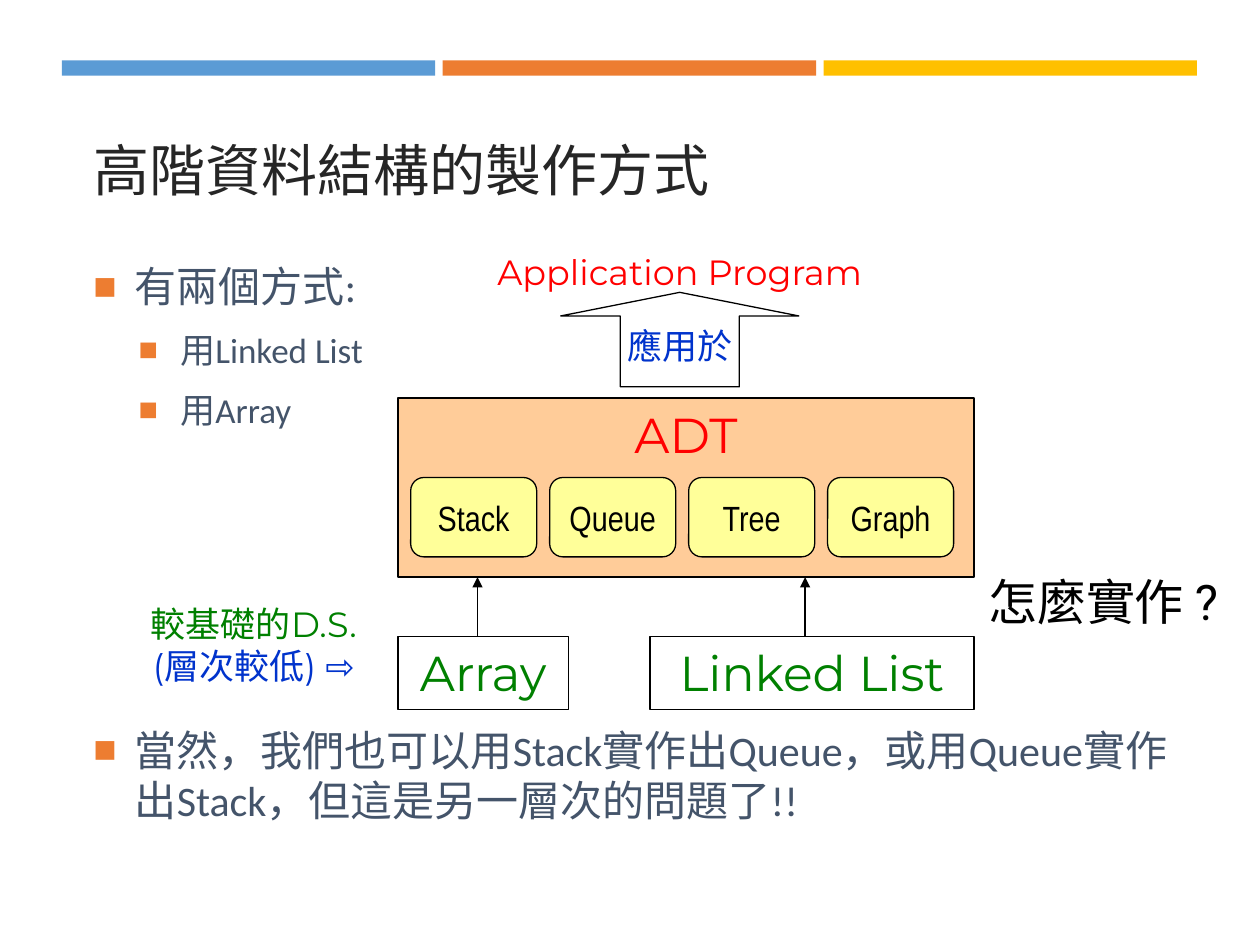
from lxml import etree
from pptx import Presentation
from pptx.dml.color import RGBColor
from pptx.enum.shapes import MSO_CONNECTOR, MSO_SHAPE
from pptx.enum.text import MSO_ANCHOR, MSO_AUTO_SIZE, PP_ALIGN
from pptx.oxml.ns import qn
from pptx.util import Inches, Pt

RECT, ROUND, UP_ARROW = MSO_SHAPE.RECTANGLE, MSO_SHAPE.ROUNDED_RECTANGLE, MSO_SHAPE.UP_ARROW
TOP, MIDDLE = MSO_ANCHOR.TOP, MSO_ANCHOR.MIDDLE
LEFT, CENTER = PP_ALIGN.LEFT, PP_ALIGN.CENTER
STRAIGHT = MSO_CONNECTOR.STRAIGHT
NO_FIT = MSO_AUTO_SIZE.NONE

BLACK, RED, GREEN, BLUE = "000000", "FF0000", "008000", "0033CC"
ORANGE, SLATE = "ED7D31", "44546A"


def color(value):
    return RGBColor.from_string(value)


def inches(*lengths):
    return [Inches(length) for length in lengths]


def place(shape, box):
    for name, length in zip(("left", "top", "width", "height"), inches(*box)):
        setattr(shape, name, length)


def add_child(parent, tag, **attributes):
    return etree.SubElement(parent, qn(tag), attributes)


def format_font(font, size, name, value):
    for attribute, setting in {"size": Pt(size), "name": name, "bold": False}.items():
        setattr(font, attribute, setting)
    font.color.rgb = color(value)


def write(shape, lines, size, font, anchor=TOP, wrap=False):
    """Fill a shape with centred lines, given as (text, colour) pairs."""
    frame = shape.text_frame
    frame.word_wrap, frame.vertical_anchor = wrap, anchor
    for index, (text, value) in enumerate(lines):
        paragraph = frame.add_paragraph() if index else frame.paragraphs[0]
        paragraph.text, paragraph.alignment = text, CENTER
        format_font(paragraph.font, size, font, value)


def add_block(slide, kind, box, fill=None, line=BLACK):
    shape = slide.shapes.add_shape(kind, *inches(*box))
    shape.shadow.inherit = False
    if fill:
        shape.fill.solid()
        shape.fill.fore_color.rgb = color(fill)
    else:
        shape.fill.background()
    if line:
        shape.line.color.rgb = color(line)
        shape.line.width = Pt(0.75)
    else:
        shape.line.fill.background()
    return shape


def add_label(slide, box, lines, size, font, wrap=False):
    write(slide.shapes.add_textbox(*inches(*box)), lines, size, font, wrap=wrap)


def add_arrow(slide, x, start, end):
    connector = slide.shapes.add_connector(STRAIGHT, *inches(x, start, x, end))
    connector.line.color.rgb = color(BLACK)
    connector.line.width = Pt(0.75)
    add_child(connector.line._get_or_add_ln(), "a:tailEnd", type="triangle")
    add_child(connector._element.spPr, "a:effectLst")


def header_bars(slide, box):
    left, top, width, height = box
    gap, fills = 0.06, ("5B9BD5", ORANGE, "FFC000")
    bar = (width - gap * (len(fills) - 1)) / len(fills)
    for column, fill in enumerate(fills):
        add_block(slide, RECT, (left + column * (bar + gap), top, bar, height), fill, None)


def title_area(slide, box):
    title = slide.shapes.title
    place(title, box)
    frame = title.text_frame
    frame.text = "高階資料結構的製作方式"
    frame.vertical_anchor, frame.auto_size = MIDDLE, NO_FIT
    paragraph = frame.paragraphs[0]
    paragraph.alignment = LEFT
    format_font(paragraph.font, 32, "Calibri", "262626")


def bullet_list(slide, box):
    body = slide.placeholders[1]
    place(body, box)
    frame = body.text_frame
    frame.auto_size = NO_FIT
    # text, level, size, space before (the last item sits below the diagram)
    items = (
        ("有兩個方式:", 0, 24, 0),
        ("用Linked List", 1, 20, 4),
        ("用Array", 1, 20, 4),
        ("當然，我們也可以用Stack實作出Queue，或用Queue實作出Stack，但這是另一層次的問題了!!",
         0, 24, 162),
    )
    for index, (text, level, size, before) in enumerate(items):
        paragraph = frame.add_paragraph() if index else frame.paragraphs[0]
        paragraph.text, paragraph.level = text, level
        paragraph.space_before, paragraph.space_after = Pt(before), Pt(6)
        properties = paragraph._p.get_or_add_pPr()
        properties.set("marL", str(Inches(0.33 + 0.36 * level)))
        properties.set("indent", str(Inches(-0.33)))
        add_child(add_child(properties, "a:buClr"), "a:srgbClr", val=ORANGE)
        add_child(properties, "a:buSzPct", val="92000")
        add_child(properties, "a:buFont", typeface="Arial")
        add_child(properties, "a:buChar", char="■")
        format_font(paragraph.font, size, "Calibri", SLATE)


def adt_panel(slide, box):
    left, top, width, height = box
    panel = add_block(slide, RECT, box, "FFCC99")
    write(panel, [("ADT", RED)], 28, "Montserrat")
    pitch = 1.103
    for column, name in enumerate(("Stack", "Queue", "Tree", "Graph")):
        card_box = (left + 0.1 + column * pitch, top + 0.63, 1, 0.63)
        card = add_block(slide, ROUND, card_box, "FFFF99")
        write(card, [(name, BLACK)], 20, "Arial Narrow", MIDDLE)


def diagram(slide, box):
    left, top, width, height = box
    panel_top, panel_height = top + 1.22, 1.42
    panel_bottom = panel_top + panel_height
    base_top = top + height - 0.58

    # Abstract types
    adt_panel(slide, (left, panel_top, width, panel_height))

    # Basic structures, each pointing up to the panel
    for name, offset, base_width, arrow in (
        ("Array", 0, 1.35, 0.63),
        ("Linked List", 2, 2.57, 3.23),
    ):
        base = add_block(slide, RECT, (left + offset, base_top, base_width, 0.58))
        write(base, [(name, GREEN)], 28, "Montserrat")
        add_arrow(slide, left + arrow, base_top, panel_bottom)

    # Use in an application
    usage = add_block(slide, UP_ARROW, (left + 1.29, top + 0.38, 1.89, 0.75))
    usage.adjustments[0], usage.adjustments[1] = 0.5, 0.25
    write(usage, [("應用於", BLUE)], 20, "Montserrat", MIDDLE)
    add_label(slide, (left + 0.58, top, 3.31, 0.43),
              [("Application Program", RED)], 20, "Montserrat")

    # Side remarks
    add_label(slide, (left + width + 0.01, panel_bottom - 0.09, 2.03, 0.57),
              [("怎麼實作 ?", BLACK)], 28, "Roboto")
    add_label(slide, (left - 2.1, base_top - 0.32, 1.91, 0.77),
              [("較基礎的D.S.", GREEN), ("(層次較低) ⇨", BLUE)], 20, "Montserrat", wrap=True)


def main():
    presentation = Presentation()
    presentation.slide_width, presentation.slide_height = inches(10, 7.5)
    slide = presentation.slides.add_slide(presentation.slide_layouts[1])
    header_bars(slide, (0.49, 0.48, 9.01, 0.12))
    title_area(slide, (0.64, 0.75, 8.74, 1.18))
    bullet_list(slide, (0.64, 2.02, 8.74, 5.12))
    diagram(slide, (3.16, 1.94, 4.57, 3.69))
    presentation.save("out.pptx")


if __name__ == "__main__":
    main()
